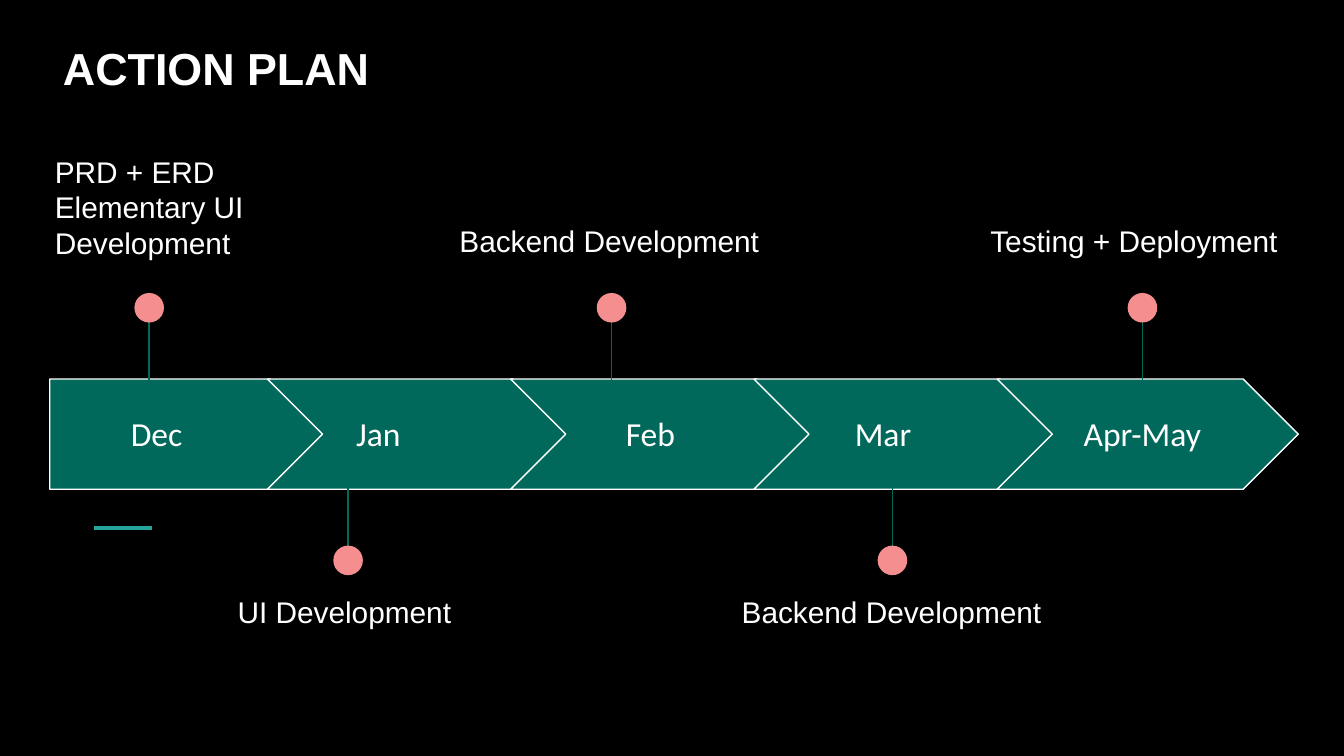
from pptx import Presentation
from pptx.dml.color import RGBColor
from pptx.enum import shapes as es, text as et
from pptx.oxml.ns import qn
from pptx.util import Inches, Pt
from lxml import etree

WHITE, GREEN, PINK, TEAL = "FFFFFF", "00695C", "F58F8F", "26A69A"
LEFT, CENTER = et.PP_ALIGN.LEFT, et.PP_ALIGN.CENTER
TOP, MIDDLE = et.MSO_ANCHOR.TOP, et.MSO_ANCHOR.MIDDLE
BAR_TOP, BAR_H, STEP = 2.82, 0.82, 1.81

# month, text left, width, alignment, left inset
MONTHS = [
    ("Dec", 0.37, 1.59, CENTER, 0.1),
    ("Jan", 2.33, 1.44, LEFT, 0.32),
    ("Feb", 4.12, 1.44, CENTER, 0.1),
    ("Mar", 5.92, 1.44, LEFT, 0.44),
    ("Apr-May", 7.78, 1.44, CENTER, 0.1),
]
# pin centre, above the bar, label lines, label box
TASKS = [
    (1.11, True, ["PRD + ERD", "Elementary UI Development"], (0.31, 1.04, 1.71, 0.99)),
    (2.59, False, ["UI Development"], (1.67, 4.28, 1.84, 0.51)),
    (4.55, True, ["Backend Development"], (3.32, 1.52, 2.45, 0.51)),
    (6.64, False, ["Backend Development"], (5.42, 4.28, 2.45, 0.51)),
    (8.5, True, ["Testing + Deployment"], (7.27, 1.52, 2.45, 0.51)),
]


def color(code):
    return RGBColor.from_string(code)


def add_line(parent, x1, y1, x2, y2, code, width):
    line = parent.add_connector(es.MSO_CONNECTOR.STRAIGHT,
                                *map(Inches, (x1, y1, x2, y2)))
    line.line.color.rgb = color(code)
    line.line.width = Pt(width)
    etree.SubElement(line._element.spPr, qn("a:effectLst"))


def add_shape(parent, kind, box, fill, edge=None):
    shape = parent.add_shape(kind, *map(Inches, box))
    shape.shadow.inherit = False
    shape.fill.solid()
    shape.fill.fore_color.rgb = color(fill)
    if edge:
        shape.line.color.rgb = color(edge)
        shape.line.width = Pt(0.75)
    else:
        shape.line.fill.background()
    return shape


def add_text(parent, box, lines, size, face="Arial", bold=False, align=LEFT,
             anchor=TOP, inset=0.1, spacing=None):
    frame = parent.add_textbox(*map(Inches, box)).text_frame
    frame.word_wrap = True
    frame.vertical_anchor = anchor
    frame.margin_left = Inches(inset)
    frame.margin_right = frame.margin_top = frame.margin_bottom = Inches(0.1)
    frame.text = "\n".join(lines)
    for para in frame.paragraphs:
        para.alignment = align
        if spacing:
            para.line_spacing = spacing
            para.space_after = Pt(16)
        para.font.name = face
        para.font.size = Pt(size)
        para.font.bold = bold
        para.font.color.rgb = color(WHITE)
    return frame


def add_month(parent, index, top, height):
    """One arrow of the bar, with its month."""
    name, left, width, align, inset = MONTHS[index]
    if index == 0:
        kind, box = es.MSO_SHAPE.PENTAGON, (0.37, top, 2.05, height)
    else:
        x = 1.99 + STEP * (index - 1)
        kind, box = es.MSO_SHAPE.CHEVRON, (x, top, 2.24, height)
    arrow = add_shape(parent, kind, box, GREEN, WHITE)
    arrow.adjustments[0] = 0.5
    add_text(parent, (left, top + 0.15, width, 0.51), [name], 18, "Calibri",
             align=align, anchor=MIDDLE, inset=inset)


def add_task(parent, task, top, height):
    """A pin on the bar's edge, with its label."""
    x, above, lines, box = task
    if above:
        start, end, dot = top - 0.6, top + 0.01, top - 0.64
    else:
        base = top + height
        start, end, dot = base + 0.6, base - 0.01, base + 0.42
    pin = parent.add_group_shape().shapes
    add_line(pin, x, start, x, end, GREEN, 0.75)
    add_shape(pin, es.MSO_SHAPE.OVAL, (x - 0.11, dot, 0.22, 0.22), PINK)
    add_text(parent, box, lines, 16, spacing=1.15 if len(lines) == 1 else None)


def main():
    prs = Presentation()
    prs.slide_width = Inches(10)
    prs.slide_height = prs.slide_width * 9 // 16
    slide = prs.slides.add_slide(prs.slide_layouts[6])
    slide.background.fill.solid()
    slide.background.fill.fore_color.rgb = color("000000")
    parts = slide.shapes

    # Accent rule
    add_line(parts, 0.7, 3.93, 1.13, 3.93, TEAL, 2.25)

    # Timeline
    for index, task in enumerate(TASKS):
        add_month(parts, index, BAR_TOP, BAR_H)
        add_task(parts, task, BAR_TOP, BAR_H)

    # Title
    title = add_text(parts, (0.37, 0.2, 4.18, 0.61), ["ACTION PLAN"], 24, bold=True)
    title.auto_size = et.MSO_AUTO_SIZE.SHAPE_TO_FIT_TEXT

    prs.save("out.pptx")


if __name__ == "__main__":
    main()
